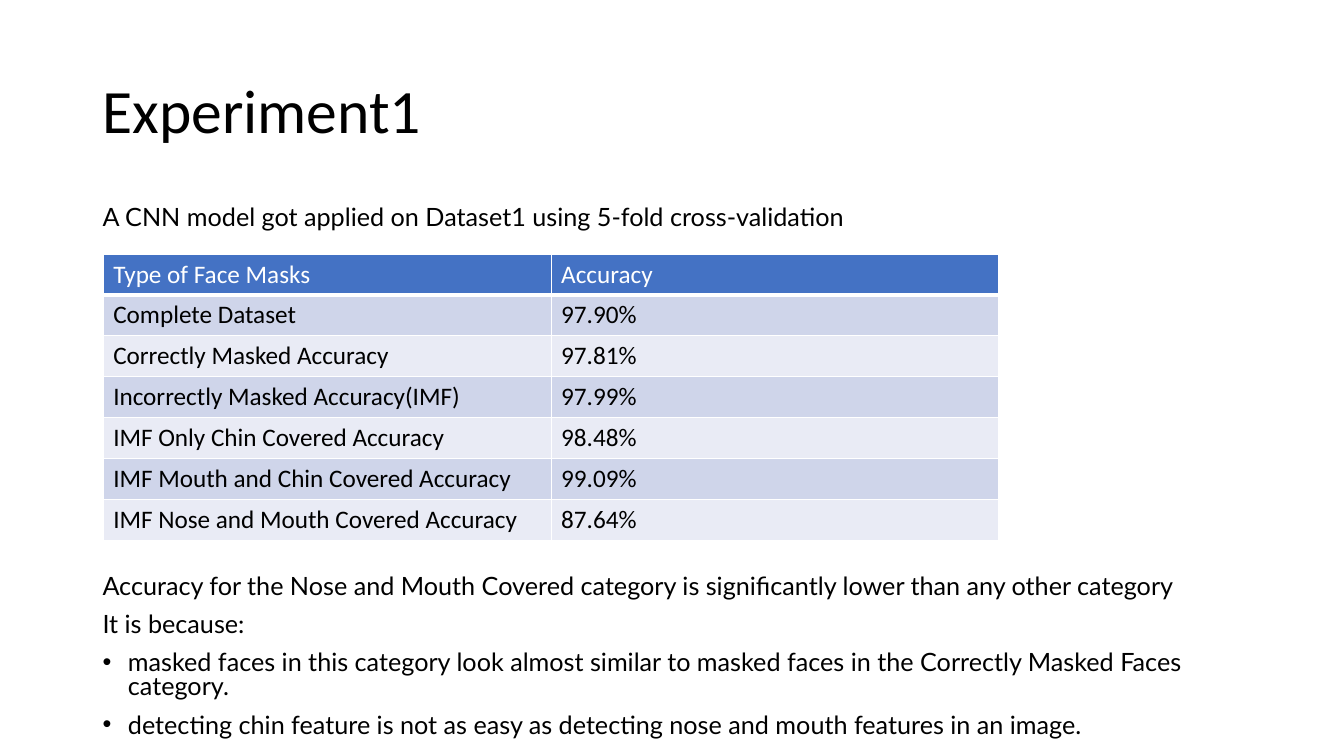
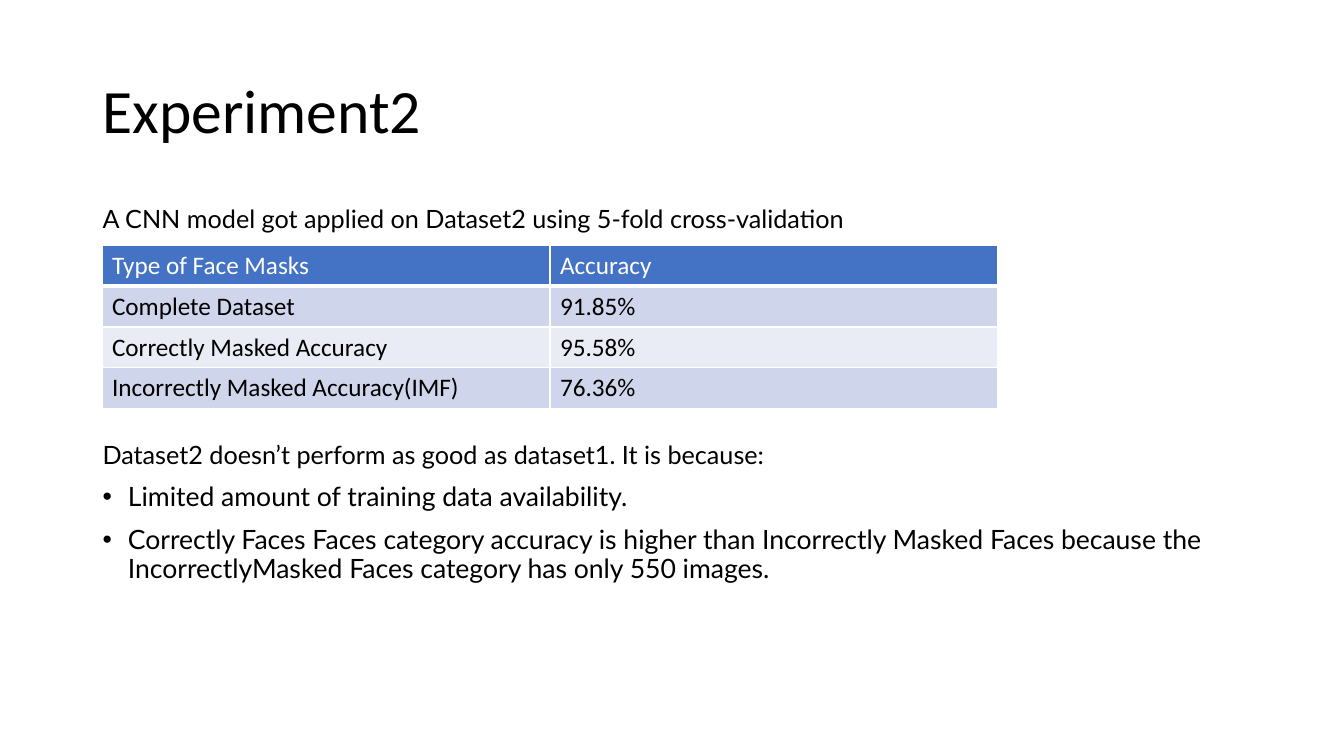
from lxml import etree
from pptx import Presentation
from pptx import util as u
from pptx.dml.color import RGBColor
from pptx.enum import text
from pptx.oxml import ns

BLACK = RGBColor(0x00, 0x00, 0x00)
WHITE = RGBColor(0xFF, 0xFF, 0xFF)
BLUE = RGBColor(0x44, 0x72, 0xC4)
BANDS = RGBColor(0xCF, 0xD5, 0xEA), RGBColor(0xE9, 0xEB, 0xF5)
HEAD_FONT, BODY_FONT = "Calibri", "Lato"
LEFT, WIDTH = u.Cm(2.33), u.Cm(29.21)
ROW_H, COL_W = u.Cm(1.03), u.Cm(11.29)
HANG = u.Cm(0.64)
HEADER = ("Type of Face Masks", "Accuracy")


def add_run(p, words, font, size, color=BLACK):
    r = p.add_run()
    r.text = words
    r.font.name, r.font.size, r.font.bold = font, u.Pt(size), False
    r.font.color.rgb = color


def place(sp, top, height, anchor):
    """Move a placeholder to the common margins and return its text frame."""
    sp.left, sp.top, sp.width, sp.height = LEFT, top, WIDTH, height
    tf = sp.text_frame
    tf.word_wrap = True
    tf.auto_size = text.MSO_AUTO_SIZE.NONE
    tf.vertical_anchor = anchor
    return tf


def add_title(s, words):
    tf = place(s.shapes.title, u.Cm(1.02), u.Cm(3.68), text.MSO_ANCHOR.MIDDLE)
    p = tf.paragraphs[0]
    p.alignment = text.PP_ALIGN.LEFT
    p.line_spacing = 0.9
    add_run(p, words, HEAD_FONT, 44)


def set_bullet(p, bulleted):
    pPr = p._p.get_or_add_pPr()
    pPr.set("marL", str(HANG if bulleted else 0))
    pPr.set("indent", str(-HANG if bulleted else 0))
    if bulleted:
        etree.SubElement(pPr, ns.qn("a:buFont"), typeface="Arial")
        etree.SubElement(pPr, ns.qn("a:buChar"), char="•")
    else:
        etree.SubElement(pPr, ns.qn("a:buNone"))


def add_body(s, height, spacing, table_gap, bullet_size, intro, remarks, bullets):
    """Write the intro, leave table_gap points for the table, then the findings."""
    tf = place(s.placeholders[1], u.Cm(5.08), height, text.MSO_ANCHOR.TOP)
    lines = [(intro, False), *((t, False) for t in remarks), *((t, True) for t in bullets)]
    for i, (words, bulleted) in enumerate(lines):
        p = tf.add_paragraph() if i else tf.paragraphs[0]
        p.line_spacing = spacing
        p.space_before = u.Pt(table_gap if i == 1 else 10)
        set_bullet(p, bulleted)
        add_run(p, words, BODY_FONT, bullet_size if bulleted else 18)


def set_borders(cell, row):
    """White 1 pt rules, with a 3 pt rule under the header row."""
    widths = {"L": 1, "R": 1, "T": 3 if row == 1 else 1, "B": 3 if row == 0 else 1}
    tcPr = cell._tc.get_or_add_tcPr()
    for i, (side, width) in enumerate(widths.items()):
        ln = etree.Element(ns.qn("a:ln" + side), w=str(u.Pt(width)))
        fill = etree.SubElement(ln, ns.qn("a:solidFill"))
        etree.SubElement(fill, ns.qn("a:srgbClr"), val=str(WHITE))
        tcPr.insert(i, ln)


def add_accuracy_table(s, left, top, results):
    rows = [HEADER, *results]
    table = s.shapes.add_table(len(rows), len(HEADER), left, top,
                               COL_W * len(HEADER), ROW_H * len(rows)).table
    table.first_row = table.horz_banding = False
    for col in table.columns:
        col.width = COL_W
    for i, values in enumerate(rows):
        table.rows[i].height = ROW_H
        for j, value in enumerate(values):
            cell = table.cell(i, j)
            cell.fill.solid()
            cell.fill.fore_color.rgb = BANDS[(i - 1) % 2] if i else BLUE
            set_borders(cell, i)
            add_run(cell.text_frame.paragraphs[0], value, HEAD_FONT, 18,
                    BLACK if i else WHITE)


def add_experiment(prs, title, body, table):
    s = prs.slides.add_slide(prs.slide_layouts[1])
    add_title(s, title)
    add_body(s, **body)
    add_accuracy_table(s, **table)


def main():
    prs = Presentation()
    prs.slide_width, prs.slide_height = u.Cm(33.87), u.Cm(19.05)

    # First dataset
    add_experiment(
        prs, "Experiment1",
        body=dict(
            height=u.Cm(13.41), spacing=0.8, table_gap=246.5, bullet_size=18,
            intro="A CNN model got applied on Dataset1 using 5-fold cross-validation",
            remarks=["Accuracy for the Nose and Mouth Covered category is "
                     "significantly lower than any other category",
                     "It is because:"],
            bullets=["masked faces in this category look almost similar to masked "
                     "faces in the Correctly Masked Faces category.",
                     "detecting chin feature is not as easy as detecting nose and "
                     "mouth features in an image."]),
        table=dict(left=u.Cm(2.6), top=u.Cm(6.4), results=[
            ("Complete Dataset", "97.90%"),
            ("Correctly Masked Accuracy", "97.81%"),
            ("Incorrectly Masked Accuracy(IMF)", "97.99%"),
            ("IMF Only Chin Covered Accuracy", "98.48%"),
            ("IMF Mouth and Chin Covered Accuracy", "99.09%"),
            ("IMF Nose and Mouth Covered Accuracy", "87.64%")]))

    # Second dataset
    add_experiment(
        prs, "Experiment2",
        body=dict(
            height=u.Cm(12.09), spacing=0.9, table_gap=149, bullet_size=19,
            intro="A CNN model got applied on Dataset2 using 5-fold cross-validation",
            remarks=["Dataset2 doesn’t perform as good as dataset1. It is because:"],
            bullets=["Limited amount of training data availability.",
                     "Correctly Faces Faces category accuracy is higher than "
                     "Incorrectly Masked Faces because the IncorrectlyMasked Faces "
                     "category has only 550 images."]),
        table=dict(left=u.Cm(2.57), top=u.Cm(6.18), results=[
            ("Complete Dataset", "91.85%"),
            ("Correctly Masked Accuracy", "95.58%"),
            ("Incorrectly Masked Accuracy(IMF)", "76.36%")]))

    prs.save("out.pptx")


if __name__ == "__main__":
    main()
